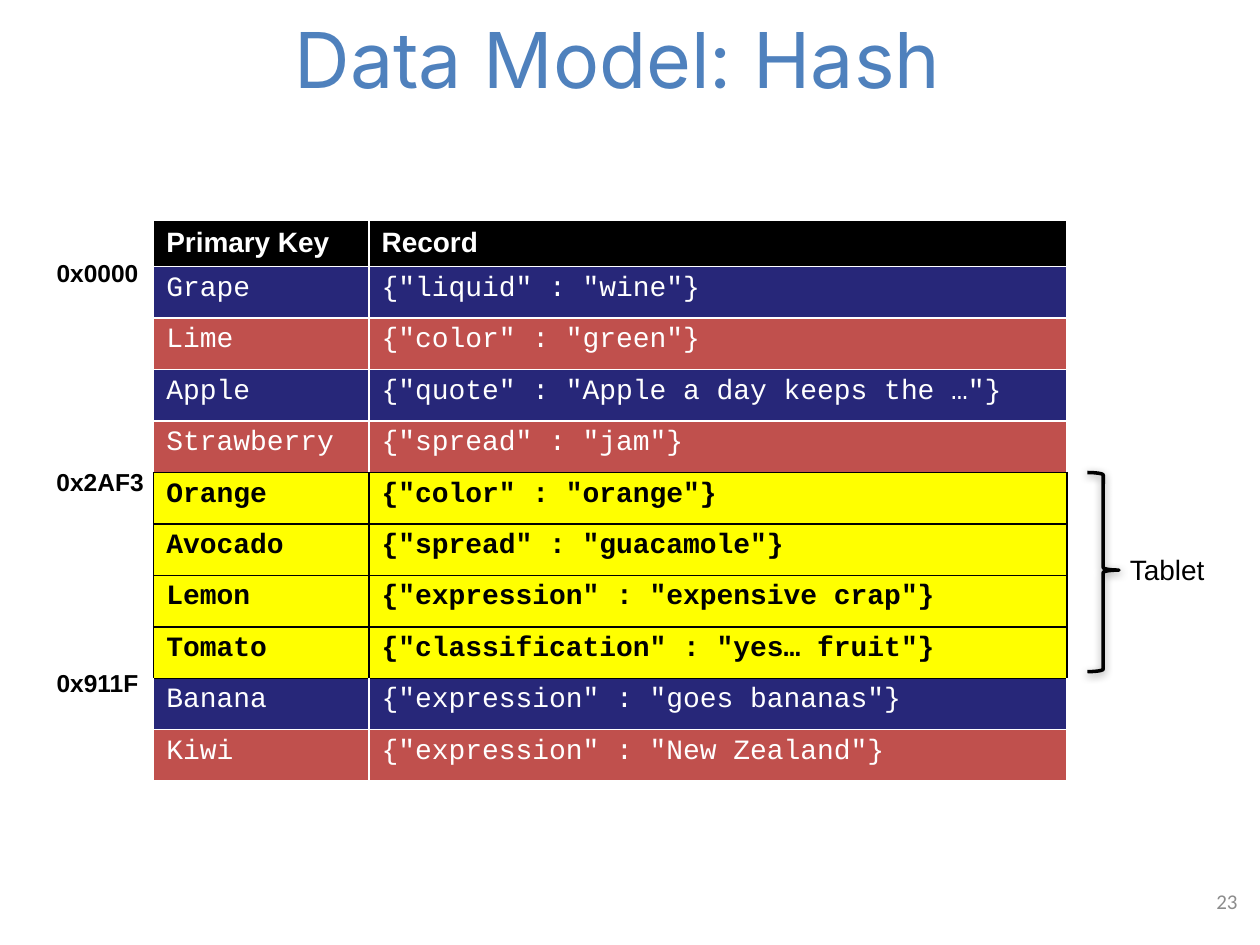
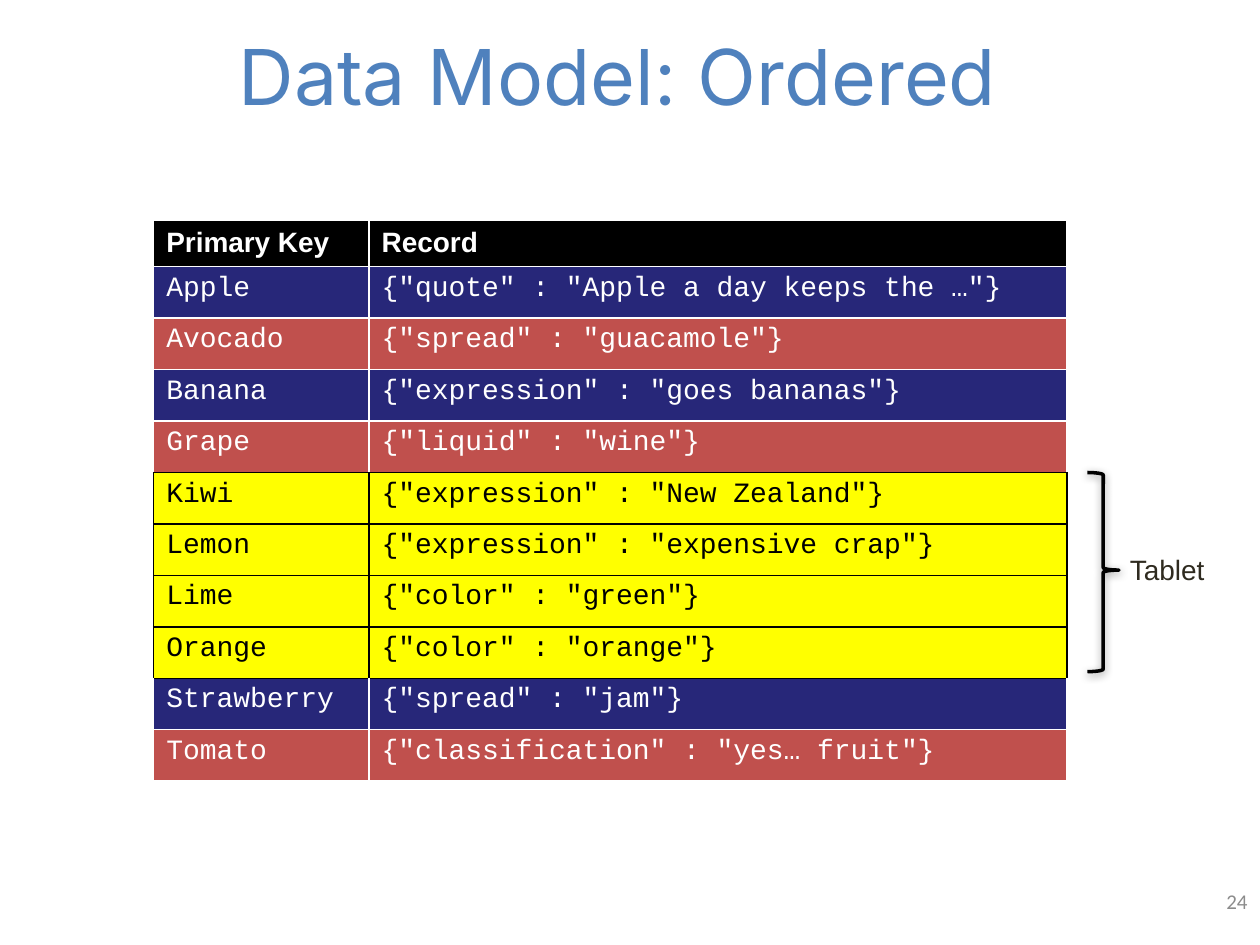
"""Build two slides that show a key-value table in hash order and in key order."""
import pptx
import pptx.dml.color
import pptx.enum.shapes
import pptx.enum.text
import pptx.oxml
import pptx.oxml.ns
import pptx.util

Pt = pptx.util.Pt
RGBColor = pptx.dml.color.RGBColor
ALIGN = pptx.enum.text.PP_ALIGN
ANCHOR = pptx.enum.text.MSO_ANCHOR

TITLE_BLUE = RGBColor(0x4F, 0x81, 0xBD)
NAVY = RGBColor(0x27, 0x27, 0x79)
RED = RGBColor(0xC0, 0x50, 0x4D)
YELLOW = RGBColor(0xFF, 0xFF, 0x00)
BLACK = RGBColor(0x00, 0x00, 0x00)
WHITE = RGBColor(0xFF, 0xFF, 0xFF)
DARK_BROWN = RGBColor(0x2F, 0x2B, 0x20)
GREY = RGBColor(0x8C, 0x8C, 0x8C)

HEADINGS = ("Primary Key", "Record")
HASHED_RECORDS = [
    ("Grape", '{"liquid" : "wine"}'),
    ("Lime", '{"color" : "green"}'),
    ("Apple", '{"quote" : "Apple a day keeps the …"}'),
    ("Strawberry", '{"spread" : "jam"}'),
    ("Orange", '{"color" : "orange"}'),
    ("Avocado", '{"spread" : "guacamole"}'),
    ("Lemon", '{"expression" : "expensive crap"}'),
    ("Tomato", '{"classification" : "yes… fruit"}'),
    ("Banana", '{"expression" : "goes bananas"}'),
    ("Kiwi", '{"expression" : "New Zealand"}'),
]
TABLET_ROWS = range(5, 9)
HASH_LABELS = (("0x0000", 144, 61.2), ("0x2AF3", 263.5, 64.8), ("0x911F", 378, 61.2))

COLUMN_WIDTHS = (123.1, 398.9)
HEADER_HEIGHT = 26.4
ROW_HEIGHT = 29.4


class DataModelDeck:
    """Hold the shared style and the current slide, and draw each kind of element."""

    def __init__(self):
        self.presentation = pptx.Presentation()
        self.presentation.slide_width = Pt(720)
        self.presentation.slide_height = Pt(540)
        self.slide = None

    def add_slide(self, title, title_top, number, number_left):
        self.slide = self.presentation.slides.add_slide(self.presentation.slide_layouts[6])
        self.text(title, 66.25, title_top, 573.8, 90, 44, TITLE_BLUE, "Inter", align=ALIGN.CENTER)
        self.text(str(number), number_left, 500.4, 167.8, 28.8, 12, GREY, "Calibri",
                  align=ALIGN.RIGHT, anchor=ANCHOR.MIDDLE)

    def format_runs(self, text_frame, size, color, font_name, bold=False):
        for paragraph in text_frame.paragraphs:
            for run in paragraph.runs:
                run.font.size = Pt(size)
                run.font.color.rgb = color
                run.font.name = font_name
                run.font.bold = bold

    def text(self, words, left, top, width, height, size, color, font_name="Arial",
             bold=False, align=ALIGN.LEFT, anchor=ANCHOR.TOP):
        shape = self.slide.shapes.add_textbox(Pt(left), Pt(top), Pt(width), Pt(height))
        text_frame = shape.text_frame
        text_frame.text = words
        text_frame.word_wrap = True
        text_frame.vertical_anchor = anchor
        text_frame.paragraphs[0].alignment = align
        self.format_runs(text_frame, size, color, font_name, bold)
        return text_frame

    def label(self, words, left, top, width, height, size, color, bold=False):
        text_frame = self.text(words, left, top, width, height, size, color, bold=bold)
        text_frame.word_wrap = False
        text_frame.auto_size = pptx.enum.text.MSO_AUTO_SIZE.SHAPE_TO_FIT_TEXT

    def cell_borders(self, cell, row):
        properties = cell._tc.get_or_add_tcPr()
        neighbours = {"lnL": row, "lnR": row, "lnT": row - 1, "lnB": row + 1}
        for edge, neighbour in neighbours.items():
            color = BLACK if row in TABLET_ROWS or neighbour in TABLET_ROWS else WHITE
            properties.append(pptx.oxml.parse_xml(
                f'<a:{edge} {pptx.oxml.ns.nsdecls("a")} w="{Pt(1)}"><a:solidFill>'
                f'<a:srgbClr val="{color}"/></a:solidFill></a:{edge}>'))

    def row_style(self, row, tablet_bold):
        if row == 0:
            return BLACK, WHITE, "Arial", True
        if row in TABLET_ROWS:
            return YELLOW, BLACK, "Courier New", tablet_bold
        return (NAVY if row % 2 else RED), WHITE, "Courier New", False

    def record_table(self, records, tablet_bold):
        rows = [HEADINGS, *records]
        height = HEADER_HEIGHT + ROW_HEIGHT * len(records)
        table = self.slide.shapes.add_table(
            len(rows), len(HEADINGS), Pt(87.85), Pt(126), Pt(sum(COLUMN_WIDTHS)), Pt(height)).table
        table.horz_banding = False
        for column, width in zip(table.columns, COLUMN_WIDTHS):
            column.width = Pt(width)
        for row, values in enumerate(rows):
            table.rows[row].height = Pt(ROW_HEIGHT if row else HEADER_HEIGHT)
            fill, color, font_name, bold = self.row_style(row, tablet_bold)
            for column, value in enumerate(values):
                cell = table.cell(row, column)
                cell.text_frame.text = value
                self.format_runs(cell.text_frame, 16, color, font_name, bold)
                self.cell_borders(cell, row)
                cell.fill.solid()
                cell.fill.fore_color.rgb = fill

    def tablet_brace(self, label_color):
        shape = self.slide.shapes.add_shape(
            pptx.enum.shapes.MSO_SHAPE.RIGHT_BRACE, Pt(621.4), Pt(270), Pt(18), Pt(113.8))
        shape.adjustments[0] = 0.08
        shape.adjustments[1] = 0.49
        shape.fill.background()
        shape.line.color.rgb = BLACK
        shape.line.width = Pt(2)
        shape.shadow.inherit = False
        effects = shape.element.spPr.find(pptx.oxml.ns.qn("a:effectLst"))
        effects.append(pptx.oxml.parse_xml(
            f'<a:outerShdw {pptx.oxml.ns.nsdecls("a")} blurRad="{Pt(5)}" dist="{Pt(1.6)}" '
            'dir="5400000" rotWithShape="0"><a:srgbClr val="000000">'
            '<a:alpha val="38000"/></a:srgbClr></a:outerShdw>'))
        self.label("Tablet", 638.65, 312.5, 57.6, 26.6, 16, label_color)


def main():
    deck = DataModelDeck()

    deck.add_slide("Data Model: Hash", 2.9, 23, 546.5)
    deck.record_table(HASHED_RECORDS, tablet_bold=True)
    deck.tablet_brace(BLACK)
    for words, top, width in HASH_LABELS:
        deck.label(words, 25.2, top, width, 24.5, 14, BLACK, bold=True)

    deck.add_slide("Data Model: Ordered", 13, 24, 552.2)
    deck.record_table(sorted(HASHED_RECORDS), tablet_bold=False)
    deck.tablet_brace(DARK_BROWN)

    deck.presentation.save("out.pptx")


if __name__ == "__main__":
    main()
